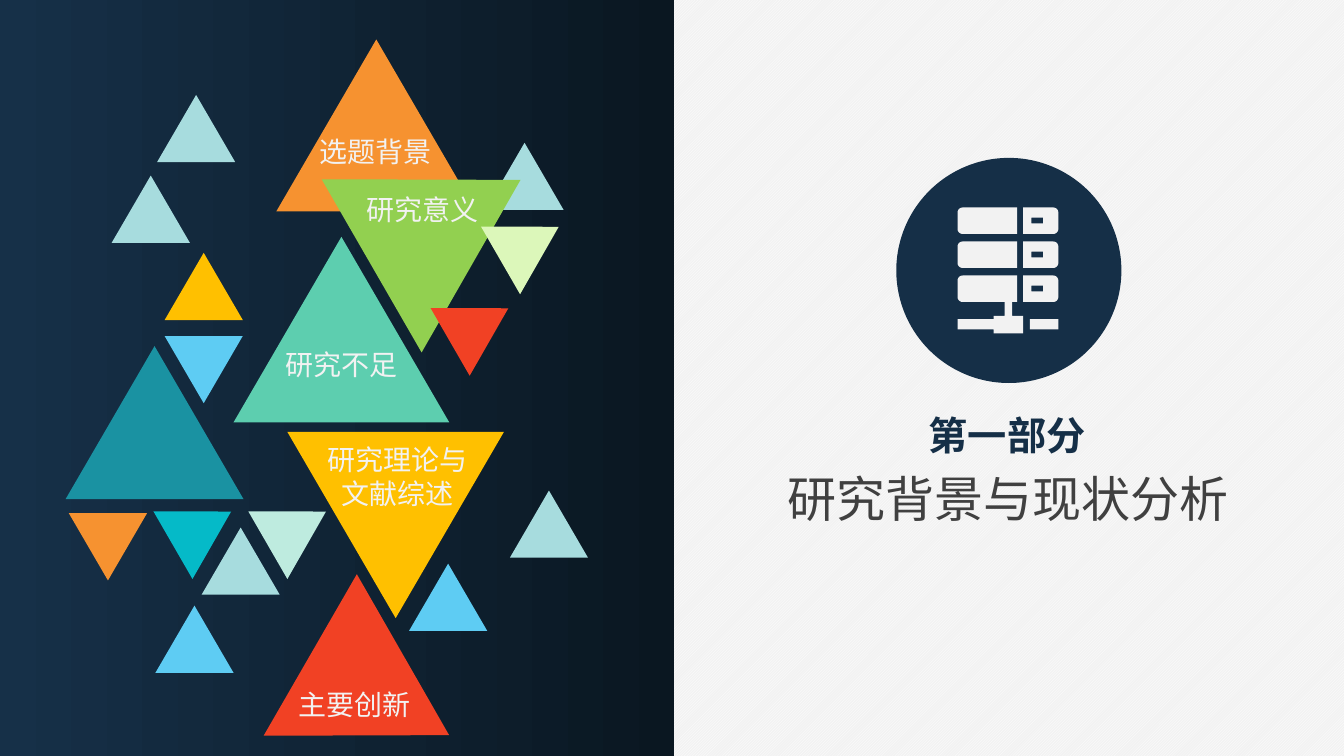
from dataclasses import dataclass
from itertools import product
from math import cos, pi, sin
from typing import NamedTuple

from lxml import etree
from pptx import Presentation
from pptx import util as u
from pptx.dml.color import RGBColor
from pptx.enum import dml, shapes, text
from pptx.oxml.ns import qn

CELL = u.Inches(1) / 12
COLS, ROWS = 160, 90


@dataclass(frozen=True)
class Theme:
    font: str = "Noto Sans CJK SC"
    white: str = "FFFFFF"
    pale: str = "F2F2F2"
    navy: str = "152F47"
    dusk: str = "163048"
    night: str = "0A1721"
    gray: str = "404040"
    mist: str = "A7DCDE"
    mint: str = "BEEBDF"
    jade: str = "5DCEAF"
    teal: str = "1A92A2"
    aqua: str = "05BAC8"
    sky: str = "5ECCF3"
    orange: str = "F69230"
    green: str = "92D050"
    lime: str = "DCF7BA"
    gold: str = "FFC000"
    red: str = "F14124"
    large: int = 35
    middle: int = 28
    small: int = 20


T = Theme()


class Box(NamedTuple):
    left: float
    top: float
    width: float
    height: float


class Peak(NamedTuple):
    left: float
    top: float
    color: str
    turn: int = 0
    width: float = 9.3


class Label(NamedTuple):
    words: str
    box: Box


class Style(NamedTuple):
    size: int
    color: str
    bold: bool = False


PANEL = Box(0, 0, 80.3, ROWS)
DISC = Box(106.7, 18.8, 26.8, 26.8)
TITLE = Label("研究背景与现状分析", Box(92.3, 55.2, 55.4, 8.3))
CHAPTER = Label("第一部分", Box(109.3, 48.4, 21.2, 6.8))

PEAKS = [
    Peak(13.3, 20.9, T.mist),
    Peak(57.8, 17, T.mist),
    Peak(30.7, 58.9, T.mint, 60),
    Peak(27.8, 28.2, T.jade, 0, 25.7),
    Peak(7.8, 41.2, T.teal, 0, 21.2),
    Peak(24, 62.8, T.mist),
    Peak(18.5, 72.1, T.sky),
    Peak(32.9, 4.7, T.orange, 0, 23.8),
    Peak(18.7, 11.3, T.mist),
    Peak(41.2, 16.3, T.green, 60, 23.8),
    Peak(58.4, 25, T.lime, 60),
    Peak(19.4, 58.9, T.aqua, 60),
    Peak(8.2, 61.1, T.orange, 180),
    Peak(19.6, 30.1, T.gold),
    Peak(19.6, 40, T.sky, 180),
    Peak(52.4, 34.7, T.red, 60),
    Peak(34.1, 73.2, T.red, 120, 22.2),
    Peak(60.7, 58.4, T.mist),
    Peak(34.2, 51.4, T.gold, 180, 25.8),
    Peak(48.7, 67.1, T.sky),
]

LABELS = [
    Label("研究不足", Box(32.8, 40.8, 15.8, 5.3)),
    Label("选题背景", Box(36.8, 15.4, 15.8, 5.3)),
    Label("研究意义", Box(42.4, 22.3, 15.8, 5.3)),
    Label("研究理论与\n文献综述", Box(37.7, 52.1, 19.2, 9.2)),
    Label("主要创新", Box(34.3, 81.2, 15.8, 5.3)),
]


def cells(count: float) -> int:
    return round(count * CELL)


def frame(box: Box) -> list[int]:
    return [cells(n) for n in box]


def rgb(color: str) -> RGBColor:
    return RGBColor.from_string(color)


def paint(shape, color: str) -> None:
    shape.shadow.inherit = False
    shape.line.fill.background()
    shape.fill.solid()
    shape.fill.fore_color.rgb = rgb(color)


def write(shape, label: Label, style: Style) -> None:
    shape.left, shape.top, shape.width, shape.height = frame(label.box)
    body = shape.text_frame
    body.text = label.words
    body.word_wrap = False
    body.auto_size = text.MSO_AUTO_SIZE.SHAPE_TO_FIT_TEXT
    body.vertical_anchor = text.MSO_ANCHOR.TOP
    for para in body.paragraphs:
        para.alignment = text.PP_ALIGN.CENTER
        para.space_before = u.Pt(0)
        font = para.font
        font.size, font.bold, font.name = u.Pt(style.size), style.bold, T.font
        font.color.rgb = rgb(style.color)
        props = para._p.xpath("a:pPr/a:defRPr")[0]
        etree.SubElement(props, qn("a:ea")).set("typeface", T.font)


def panel(slide) -> None:
    shape = slide.shapes.add_shape(shapes.MSO_SHAPE.RECTANGLE, *frame(PANEL))
    paint(shape, T.dusk)
    shape.fill.gradient()
    shape.fill.gradient_angle = 0
    for stop, color in zip(shape.fill.gradient_stops, (T.dusk, T.night)):
        stop.color.rgb = rgb(color)


def peak(slide, item: Peak) -> None:
    box = Box(item.left, item.top, item.width, item.width * 0.86)
    shape = slide.shapes.add_shape(shapes.MSO_SHAPE.ISOSCELES_TRIANGLE, *frame(box))
    shape.rotation = item.turn
    paint(shape, item.color)


def block(flat: float, outer: float, top: float, high: float) -> list[tuple]:
    bend = 0.6 if outer > flat else -0.6
    arc = [(outer - bend + bend * sin(t), abs(bend) * (1 - cos(t)))
           for t in (pi / 12 * n for n in range(7))]
    upper = [(flat, top)] + [(x, top + y) for x, y in arc]
    lower = [(x, top + high - y) for x, y in reversed(arc)]
    return upper + lower + [(flat, top + high)]


def rect(left: float, top: float, right: float, base: float) -> list[tuple]:
    return [(left, top), (right, top), (right, base), (left, base)]


def server(slide) -> None:
    disc = slide.shapes.add_shape(shapes.MSO_SHAPE.OVAL, *frame(DISC))
    paint(disc, T.navy)
    tops = [24.7 + 4.05 * n for n in range(3)]
    loops = [block(flat, outer, top, 3.15)
             for top, (flat, outer) in product(tops, ((121.1, 114), (121.8, 126)))]
    loops += [rect(122.8, top + 1.2, 124.2, top + 1.9) for top in tops]
    loops += [
        rect(122.6, 38, 126, 39.2),
        [(119.6, 35.95), (120.5, 35.95), (120.5, 37.6), (121.8, 37.6),
         (121.8, 39.7), (118.3, 39.7), (118.3, 39.2), (114, 39.2),
         (114, 38), (118.3, 38), (118.3, 37.6), (119.6, 37.6)],
    ]
    outlines = [[(cells(x), cells(y)) for x, y in loop] for loop in loops]
    pen = slide.shapes.build_freeform(*outlines[0][0])
    for line in outlines:
        pen.move_to(*line[0])
        pen.add_line_segments(line[1:], close=True)
    paint(pen.convert_to_shape(), T.pale)


def main() -> None:
    deck = Presentation()
    deck.slide_width, deck.slide_height = cells(COLS), cells(ROWS)
    slide = deck.slides.add_slide(deck.slide_layouts[0])
    back = slide.background.fill
    back.patterned()
    back.pattern = dml.MSO_PATTERN.LIGHT_UPWARD_DIAGONAL
    back.fore_color.rgb, back.back_color.rgb = rgb(T.white), rgb(T.pale)
    panel(slide)
    write(slide.shapes.title, TITLE, Style(T.large, T.gray))
    write(slide.placeholders[1], CHAPTER, Style(T.middle, T.navy, True))
    server(slide)
    for item in PEAKS:
        peak(slide, item)
    for label in LABELS:
        write(slide.shapes.add_textbox(0, 0, 0, 0), label, Style(T.small, T.pale))
    deck.save("out.pptx")


if __name__ == "__main__":
    main()
